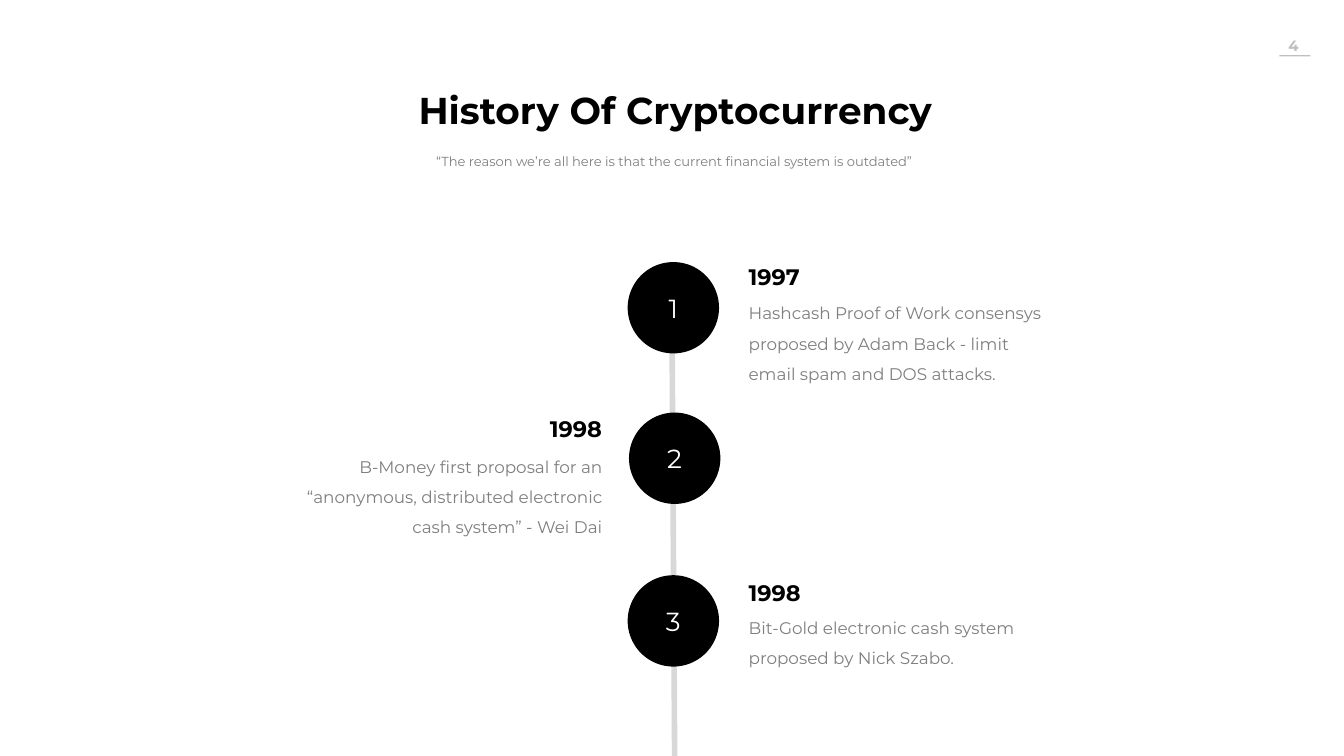
from pptx import Presentation
from pptx.dml.color import RGBColor
from pptx.enum import shapes, text
from pptx.oxml.ns import qn
from pptx.util import Inches, Pt
from lxml import etree

BLACK = RGBColor(0x00, 0x00, 0x00)
WHITE = RGBColor(0xFF, 0xFF, 0xFF)
GRAY = RGBColor(0x7F, 0x7F, 0x7F)
SILVER = RGBColor(0xBF, 0xBF, 0xBF)
LINE_GRAY = RGBColor(0xD8, 0xD8, 0xD8)
FONT = "Montserrat"
LEFT, CENTER, RIGHT = text.PP_ALIGN.LEFT, text.PP_ALIGN.CENTER, text.PP_ALIGN.RIGHT

# Content
TITLE = "History Of Cryptocurrency"
QUOTE = "“The reason we’re all here is that the current financial system is outdated”"
PAGE_NUMBER = "4"
# year, description, side, circle left, circle top, year top, description top
EVENTS = [
    ("1997", "Hashcash Proof of Work consensys proposed by Adam Back - limit "
     "email spam and DOS attacks.", LEFT, 4.67, 1.95, 1.94, 2.16),
    ("1998", "B-Money first proposal for an “anonymous, distributed electronic\n"
     "cash system” - Wei Dai", RIGHT, 4.68, 3.07, 3.07, 3.30),
    ("1998", "Bit-Gold electronic cash system proposed by Nick Szabo.",
     LEFT, 4.67, 4.28, 4.29, 4.50),
]

# Layout, a 16:9 slide
SLIDE_WIDTH = 10
SLIDE_HEIGHT = SLIDE_WIDTH * 9 / 16
CIRCLE = 0.68
TEXT_START, TEXT_END = 5.53, 4.52  # inner edges right and left of the timeline
YEAR_WIDTH, YEAR_HEIGHT = 0.62, 0.24
BODY_WIDTH, BODY_HEIGHT = 2.28, 0.69


def write(shape, content, size, color, align=LEFT, bold=False, spacing=None,
          anchor=text.MSO_ANCHOR.TOP):
    frame = shape.text_frame
    frame.text = content
    frame.word_wrap = True
    frame.auto_size = text.MSO_AUTO_SIZE.NONE
    frame.vertical_anchor = anchor
    frame.margin_left = frame.margin_right = Inches(0.04)
    frame.margin_top = frame.margin_bottom = Inches(0.02)
    for paragraph in frame.paragraphs:
        paragraph.alignment = align
        paragraph.line_spacing = spacing
        for run in paragraph.runs:
            run.font.name = FONT
            run.font.size = Pt(size)
            run.font.bold = bold
            run.font.color.rgb = color


def add_text(left, top, width, height, *args, **options):
    box = slide.shapes.add_textbox(*map(Inches, (left, top, width, height)))
    write(box, *args, **options)


def add_filled(kind, left, top, width, height, color):
    shape = slide.shapes.add_shape(kind, *map(Inches, (left, top, width, height)))
    shape.shadow.inherit = False
    shape.fill.solid()
    shape.fill.fore_color.rgb = color
    shape.line.fill.background()
    return shape


presentation = Presentation()
presentation.slide_width = Inches(SLIDE_WIDTH)
presentation.slide_height = Inches(SLIDE_HEIGHT)
slide = presentation.slides.add_slide(presentation.slide_layouts[5])

# Title and quote
title = slide.shapes.title
title.left, title.top, title.width, title.height = map(Inches, (2.06, 0.63, 5.93, 0.38))
write(title, TITLE, 20, BLACK, CENTER, bold=True)
add_text(2.04, 1.06, 5.95, 0.38, QUOTE, 7, GRAY, CENTER, spacing=1.5)

# Page number with underline
add_text(9.45, 0.25, 0.35, 0.2, PAGE_NUMBER, 8, SILVER, CENTER, bold=True)
add_filled(shapes.MSO_SHAPE.RECTANGLE, 9.52, 0.41, 0.23, 0.01, SILVER)

# Timeline
timeline = slide.shapes.add_connector(
    shapes.MSO_CONNECTOR.STRAIGHT, *map(Inches, (5, 2.41, 5.02, SLIDE_HEIGHT)))
timeline.line.color.rgb = LINE_GRAY
timeline.line.width = Pt(3)
etree.SubElement(timeline.element.spPr, qn("a:effectLst"))

# Events
for number, event in enumerate(EVENTS, 1):
    year, description, side, circle_left, circle_top, year_top, body_top = event
    circle = add_filled(shapes.MSO_SHAPE.OVAL, circle_left, circle_top, CIRCLE, CIRCLE, BLACK)
    write(circle, str(number), 14, WHITE, CENTER, anchor=text.MSO_ANCHOR.MIDDLE)
    year_left, body_left = (
        (TEXT_START, TEXT_START) if side == LEFT
        else (TEXT_END - YEAR_WIDTH, TEXT_END - BODY_WIDTH))
    add_text(year_left, year_top, YEAR_WIDTH, YEAR_HEIGHT, year, 12, BLACK, side, bold=True)
    add_text(body_left, body_top, BODY_WIDTH, BODY_HEIGHT, description, 9, GRAY, side,
             spacing=1.5)

presentation.save("out.pptx")
